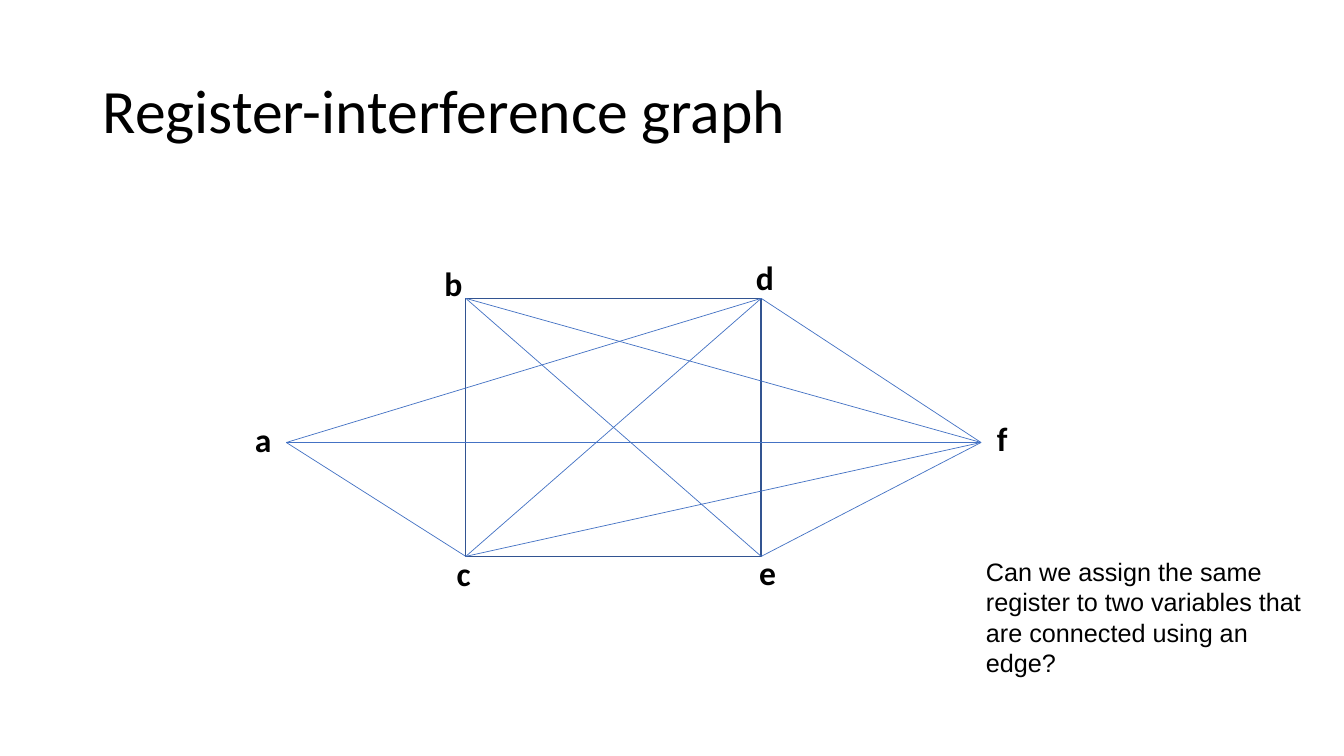
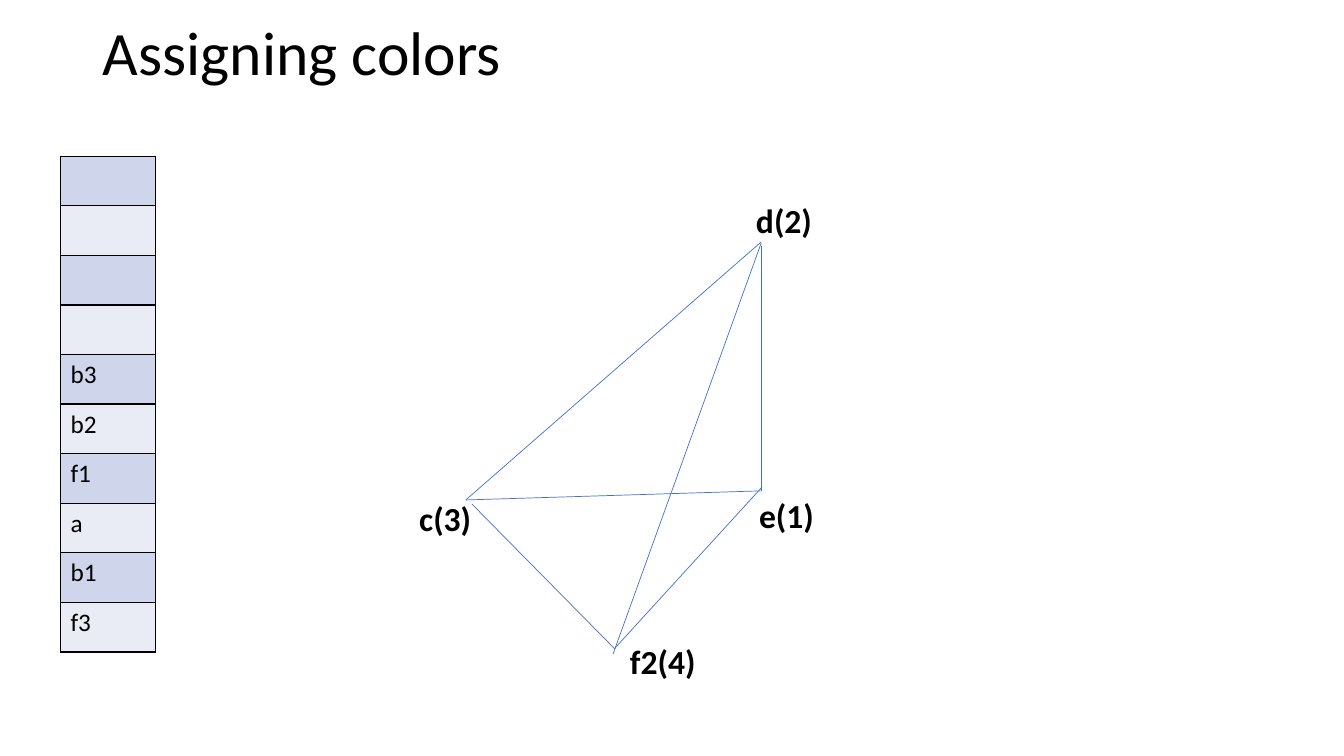
from dataclasses import dataclass

import pptx
import pptx.dml.color
import pptx.enum.shapes
import pptx.enum.text
import pptx.oxml
import pptx.oxml.ns
import pptx.presentation
import pptx.slide
import pptx.util
from pptx.util import Inches

RGBColor = pptx.dml.color.RGBColor
BLACK = RGBColor(0x00, 0x00, 0x00)
EDGE_BLUE = RGBColor(0x44, 0x72, 0xC4)
BOX_BLUE = RGBColor(0x32, 0x54, 0x91)
BANDS = (RGBColor(0xCF, 0xD5, 0xEA), RGBColor(0xE9, 0xEB, 0xF5))
BODY_FONT = "Calibri"
NOTE_FONT = "Arial"
TITLE_ONLY = 5

Point = tuple[float, float]


@dataclass(frozen=True)
class Label:
    text: str
    left: float
    top: float


@dataclass(frozen=True)
class Edge:
    start: Point
    end: Point


B, C, D, E = (4.62, 2.96), (4.62, 5.52), (7.55, 2.96), (7.55, 5.52)
A, F = (2.84, 4.39), (9.73, 4.39)

INTERFERENCE_EDGES = [
    Edge(*ends)
    for ends in ((D, F), (E, F), (C, F), (C, D), (B, E), (B, F), (A, D), (A, C), (A, F))
]
INTERFERENCE_LABELS = [
    Label("a", 2.43, 4.11),
    Label("b", 4.31, 2.56),
    Label("d", 7.4, 2.5),
    Label("f", 9.79, 4.1),
    Label("e", 7.43, 5.43),
    Label("c", 4.43, 5.44),
]
COLORING_EDGES = [
    Edge((4.62, 4.96), (7.55, 2.4)),
    Edge((7.55, 2.44), (7.55, 4.87)),
    Edge((4.62, 4.96), (7.55, 4.87)),
    Edge((7.55, 2.41), (6.08, 6.49)),
    Edge((4.68, 5), (6.1, 6.44)),
    Edge((7.56, 4.83), (6.09, 6.44)),
]
COLORING_LABELS = [
    Label("d(2)", 7.4, 1.93),
    Label("e(1)", 7.43, 4.86),
    Label("c(3)", 4.06, 4.89),
    Label("f2(4)", 6.15, 6.31),
]
STACK = ["", "", "", "", "b3", "b2", "f1", "a", "b1", "f3"]


def format_font(p, size: float, name: str = BODY_FONT, bold: bool = False) -> None:
    p.font.size = pptx.util.Pt(size)
    p.font.name = name
    p.font.bold = bold
    p.font.color.rgb = BLACK


def add_titled_slide(
    prs: pptx.presentation.Presentation, title: str, top: float
) -> pptx.slide.Slide:
    s = prs.slides.add_slide(prs.slide_layouts[TITLE_ONLY])
    sp = s.shapes.title
    sp.left, sp.top = Inches(0.92), Inches(top)
    sp.width, sp.height = Inches(11.5), Inches(1.45)
    tf = sp.text_frame
    tf.text = title
    tf.auto_size = pptx.enum.text.MSO_AUTO_SIZE.NONE
    tf.vertical_anchor = pptx.enum.text.MSO_ANCHOR.MIDDLE
    p = tf.paragraphs[0]
    p.alignment = pptx.enum.text.PP_ALIGN.LEFT
    p.line_spacing = 0.9
    format_font(p, 44)
    return s


def add_text(
    s: pptx.slide.Slide, label: Label, width: float, height: float,
    size: float, name: str = BODY_FONT, bold: bool = False,
) -> None:
    sp = s.shapes.add_textbox(
        Inches(label.left), Inches(label.top), Inches(width), Inches(height)
    )
    tf = sp.text_frame
    tf.word_wrap = True
    tf.text = label.text
    format_font(tf.paragraphs[0], size, name, bold)


def add_edge(s: pptx.slide.Slide, edge: Edge) -> None:
    line = s.shapes.add_connector(
        pptx.enum.shapes.MSO_CONNECTOR.STRAIGHT,
        *(Inches(value) for value in edge.start + edge.end),
    )
    line.line.color.rgb = EDGE_BLUE
    line.line.width = pptx.util.Pt(0.5)
    pptx.oxml.ns.qn("a:effectLst")
    line._element.spPr.append(
        pptx.oxml.parse_xml(f"<a:effectLst {pptx.oxml.ns.nsdecls('a')}/>")
    )


def add_graph(s: pptx.slide.Slide, edges: list[Edge], labels: list[Label]) -> None:
    for edge in edges:
        add_edge(s, edge)
    for label in labels:
        add_text(s, label, 0.87, 0.5, 24, bold=True)


def add_box(s: pptx.slide.Slide, top_left: Point, bottom_right: Point) -> None:
    (left, top), (right, bottom) = top_left, bottom_right
    sp = s.shapes.add_shape(
        pptx.enum.shapes.MSO_SHAPE.RECTANGLE,
        Inches(left), Inches(top), Inches(right - left), Inches(bottom - top),
    )
    sp.shadow.inherit = False
    sp.fill.background()
    sp.line.color.rgb = BOX_BLUE
    sp.line.width = pptx.util.Pt(1)


def add_borders(cell) -> None:
    tc_pr = cell._tc.get_or_add_tcPr()
    for side in ("lnL", "lnR", "lnT", "lnB"):
        tc_pr.append(pptx.oxml.parse_xml(
            f'<a:{side} {pptx.oxml.ns.nsdecls("a")} w="{pptx.util.Pt(1)}">'
            f'<a:solidFill><a:srgbClr val="{BLACK}"/></a:solidFill></a:{side}>'
        ))


def add_stack(s: pptx.slide.Slide, entries: list[str]) -> None:
    table = s.shapes.add_table(
        len(entries), 1, Inches(0.6), Inches(1.55), Inches(0.94), Inches(4.92)
    ).table
    table.first_row = False
    table.horz_banding = False
    for i, entry in enumerate(entries):
        cell = table.cell(i, 0)
        cell.text = entry
        format_font(cell.text_frame.paragraphs[0], 18)
        add_borders(cell)
        cell.fill.solid()
        cell.fill.fore_color.rgb = BANDS[i % len(BANDS)]


def build_interference(prs: pptx.presentation.Presentation) -> None:
    s = add_titled_slide(prs, "Register-interference graph", 0.4)
    add_box(s, B, E)
    add_graph(s, INTERFERENCE_EDGES, INTERFERENCE_LABELS)
    question = Label(
        "Can we assign the same register to two variables "
        "that are connected using an edge?",
        9.68, 5.47,
    )
    add_text(s, question, 3.49, 1.62, 18, NOTE_FONT)


def build_coloring(prs: pptx.presentation.Presentation) -> None:
    s = add_titled_slide(prs, "Assigning colors", -0.17)
    add_graph(s, COLORING_EDGES, COLORING_LABELS)
    add_stack(s, STACK)


def main() -> None:
    prs = pptx.Presentation()
    prs.slide_width, prs.slide_height = Inches(13.33), Inches(7.5)
    build_interference(prs)
    build_coloring(prs)
    prs.save("out.pptx")


if __name__ == "__main__":
    main()
